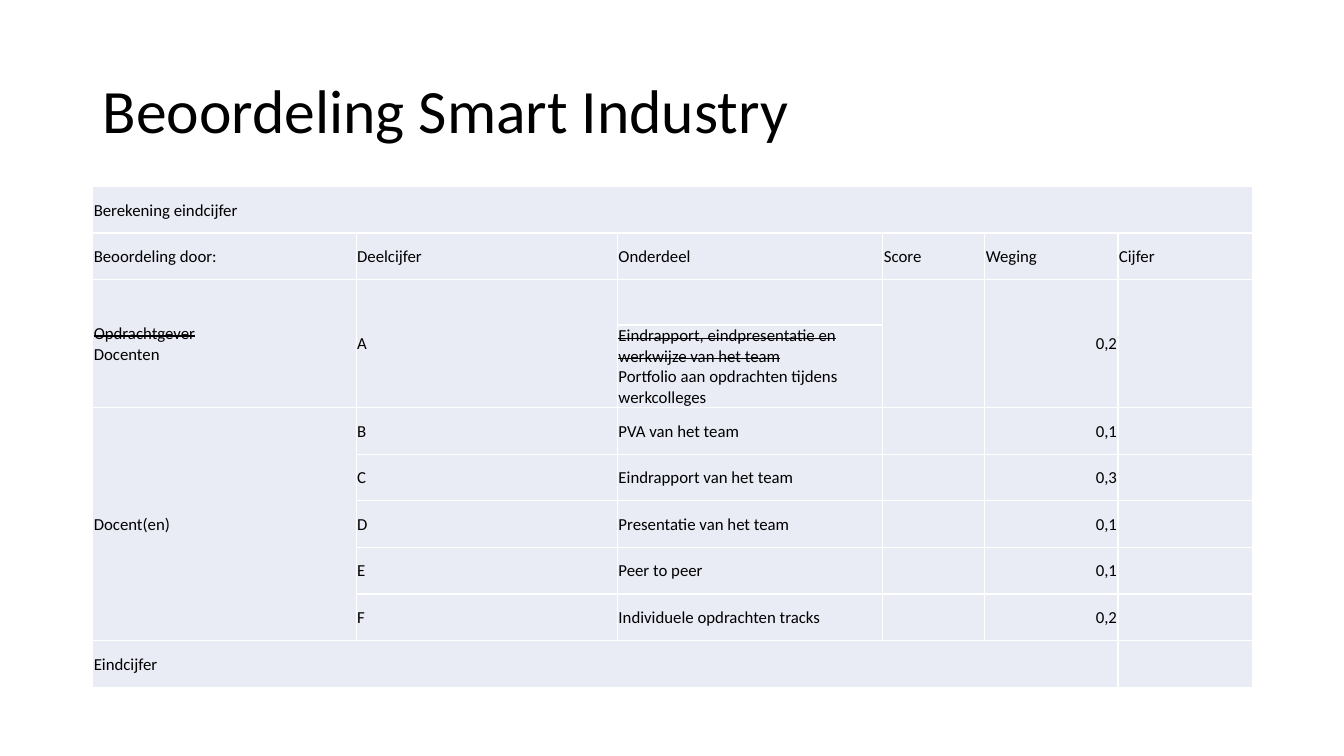
from lxml.etree import SubElement
from pptx import Presentation
from pptx.dml.color import RGBColor
from pptx.enum.text import MSO_ANCHOR as Anchor, PP_ALIGN as Align
from pptx.oxml.ns import qn
from pptx.util import Inches, Pt

COLORS = {"text": "000000", "cell": "E9EBF5", "border": "FFFFFF"}
FONT = "Calibri"
SLIDE_SIZE = (13.33, 7.5)
LEFT, WIDTH = 0.92, 11.5
TITLE_BOX = (LEFT, 0.4, WIDTH, 1.45)
TABLE_BOX = (LEFT, 1.85, WIDTH, 4.97)

COLUMN_SHARES = [2.61, 2.59, 2.63, 1.01, 1.32, 1.33]
SPECIAL_ROWS = {2: 0.45, 3: 0.82}
WEIGHT_COLUMN = 4
ROWS = [
    ["Berekening eindcijfer"],
    ["Beoordeling door:", "Deelcijfer", "Onderdeel", "Score", "Weging", "Cijfer"],
    ["Opdrachtgever\nDocenten", "A", "", "", "0,2"],
    ["", "", "Eindrapport, eindpresentatie en werkwijze van het team\n"
             "Portfolio aan opdrachten tijdens werkcolleges"],
    ["Docent(en)", "B", "PVA van het team", "", "0,1"],
    ["", "C", "Eindrapport van het team", "", "0,3"],
    ["", "D", "Presentatie van het team", "", "0,1"],
    ["", "E", "Peer to peer", "", "0,1"],
    ["", "F", "Individuele opdrachten tracks", "", "0,2"],
    ["Eindcijfer"],
]
# First and last cell of each merged area, as (row, column)
MERGES = [((0, 0), (0, 5)), ((4, 0), (8, 0)), ((9, 0), (9, 4))]
MERGES += [((2, column), (3, column)) for column in (0, 1, 3, 4, 5)]


def write_text(frame, text, size, align=Align.LEFT, line_spacing=1.0):
    """Write one paragraph per line; all lines but the last are struck through."""
    lines = text.split("\n")
    for index, line in enumerate(lines):
        para = frame.paragraphs[0] if index == 0 else frame.add_paragraph()
        para.alignment = align
        para.line_spacing = line_spacing
        para.font.size = Pt(size)
        if not line:
            continue
        span = para.add_run()
        span.text = line
        span.font.name = FONT
        span.font.size = Pt(size)
        span.font.color.rgb = RGBColor.from_string(COLORS["text"])
        if index < len(lines) - 1:
            span.font._element.set("strike", "sngStrike")


def style_cell(cell):
    cell.vertical_anchor = Anchor.MIDDLE
    cell.margin_left = cell.margin_right = cell.margin_top = Inches(0.01)
    cell.margin_bottom = 0
    properties = cell._tc.get_or_add_tcPr()
    for side in ("a:lnL", "a:lnR", "a:lnT", "a:lnB"):
        line = SubElement(properties, qn(side), w=str(Pt(1)))
        fill = SubElement(line, qn("a:solidFill"))
        SubElement(fill, qn("a:srgbClr"), val=COLORS["border"])
    cell.fill.solid()
    cell.fill.fore_color.rgb = RGBColor.from_string(COLORS["cell"])


def add_title(page, box, text):
    frame = page.shapes.add_textbox(*map(Inches, box)).text_frame
    frame.word_wrap = True
    frame.vertical_anchor = Anchor.MIDDLE
    write_text(frame, text, size=44, line_spacing=0.9)


def add_grade_table(page, box):
    width, height = box[2:]
    table = page.shapes.add_table(
        len(ROWS), len(COLUMN_SHARES), *map(Inches, box)).table
    table.first_row = table.horz_banding = False
    for column, share in zip(table.columns, COLUMN_SHARES):
        column.width = Inches(width * share / sum(COLUMN_SHARES))
    regular = (height - sum(SPECIAL_ROWS.values())) / (len(ROWS) - len(SPECIAL_ROWS))
    for index, row in enumerate(table.rows):
        row.height = Inches(SPECIAL_ROWS.get(index, regular))
        texts = ROWS[index] + [""] * (len(COLUMN_SHARES) - len(ROWS[index]))
        for column, (cell, text) in enumerate(zip(row.cells, texts)):
            style_cell(cell)
            is_weight = column == WEIGHT_COLUMN and index > 1
            write_text(cell.text_frame, text, size=12,
                       align=Align.RIGHT if is_weight else Align.LEFT)
    for first, last in MERGES:
        table.cell(*first).merge(table.cell(*last))


def main():
    deck = Presentation()
    deck.slide_width, deck.slide_height = map(Inches, SLIDE_SIZE)
    page = deck.slides.add_slide(deck.slide_layouts[6])
    add_title(page, TITLE_BOX, "Beoordeling Smart Industry")
    add_grade_table(page, TABLE_BOX)
    deck.save("out.pptx")


if __name__ == "__main__":
    main()
